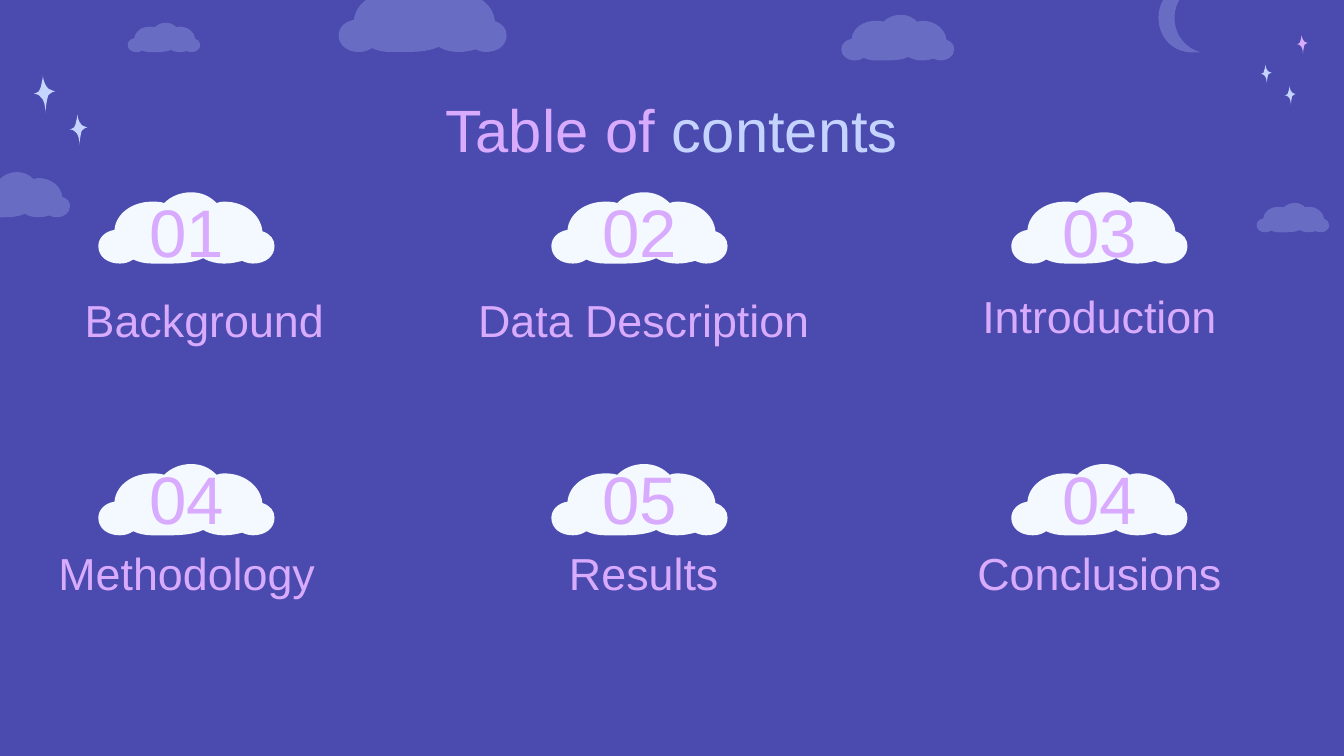
import dataclasses

import pptx
import pptx.dml.color
import pptx.enum.text
import pptx.oxml.ns
import pptx.util
from lxml import etree

Pt = pptx.util.Pt
qn = pptx.oxml.ns.qn
PP_ALIGN = pptx.enum.text.PP_ALIGN
MSO_ANCHOR = pptx.enum.text.MSO_ANCHOR


@dataclasses.dataclass(frozen=True)
class Theme:
    night: str = "4A4AAF"
    pale: str = "C5D3FF"
    lilac: str = "D9ABFE"
    cloud: str = "F4F9FF"
    font: str = "Arial"
    title: int = 32
    number: int = 36
    label: int = 24
    faint: int = 25


T = Theme()

# Outlines: a start point, then Bezier curves (control, control, end)
CLOUD = [
    (69, 0),
    (61, 0), (54, 3), (49, 8), (46, 7), (43, 7), (40, 7),
    (25, 7), (13, 16), (12, 28), (5, 29), (0, 34), (0, 40),
    (0, 48), (7, 53), (16, 53), (20, 53), (23, 52), (26, 50),
    (30, 52), (35, 53), (40, 53), (44, 53), (48, 53), (53, 53),
    (63, 53), (72, 52), (78, 49), (83, 52), (88, 53), (94, 53),
    (99, 53), (103, 52), (107, 51), (109, 52), (112, 53), (115, 53),
    (124, 53), (131, 48), (131, 40), (131, 35), (128, 31), (122, 29),
    (121, 17), (109, 7), (94, 7), (92, 7), (90, 7), (88, 8),
    (83, 3), (77, 0), (69, 0),
]
STAR = [
    (7, 0),
    (7, 3), (6, 5), (6, 6), (6, 8), (5, 10), (4, 12),
    (2, 13), (1, 14), (0, 14), (1, 14), (4, 14), (5, 16),
    (7, 17), (7, 19), (8, 21), (9, 25), (9, 28), (9, 28),
    (9, 27), (9, 24), (10, 19), (10, 17), (11, 16), (11, 15),
    (13, 13), (15, 12), (16, 12), (15, 12), (13, 11), (11, 10),
    (7, 6), (7, 0), (7, 0),
]
MOON = [
    (25, 0),
    (28, 0), (30, 0), (32, 0), (20, 3), (12, 13), (12, 25),
    (12, 38), (20, 48), (32, 51), (30, 51), (28, 51), (25, 51),
    (11, 51), (0, 40), (0, 25), (0, 11), (11, 0), (25, 0),
]

# Sky decoration: left, top, width
SKY_CLOUDS = [(68.4, 12.2, 38.9), (450.7, 7.9, 60.5), (-22.3, 92.2, 59.8),
              (673.2, 108.7, 38.9), (181.4, -8.6, 90)]
SKY_STARS = [(688.3, 46.1, 5.8), (675.4, 34.6, 5.8),
             (37.4, 61.2, 9.4), (18, 40.3, 11.5)]

# Contents: cloud top, number top, then (number, label, label left, label top)
COLUMNS = [52.7, 295.4, 541.8]
ROWS = [
    (103, 98.6, [("01", "Background", 0, 151.9),
                 ("02", "Data Description", 235.4, 151.9),
                 ("03", "Introduction", 479.5, 149.8)]),
    (248.6, 241.2, [("04", "Methodology", -9.4, 287.3),
                    ("05", "Results", 235.4, 287.3),
                    ("04", "Conclusions", 479.5, 287.3)]),
]


def rgb(color):
    return pptx.dml.color.RGBColor.from_string(color)


def add_command(geom, tag, points=()):
    command = etree.SubElement(geom, qn(tag))
    for x, y in points:
        etree.SubElement(command, qn("a:pt"), x=str(x), y=str(y))


def curve_outline(sp, outline):
    """Swap the straight frame of a freeform for Bezier curves."""
    geom = sp._element.find(".//" + qn("a:path"))
    for command in list(geom):
        geom.remove(command)
    add_command(geom, "a:moveTo", outline[:1])
    for i in range(1, len(outline), 3):
        add_command(geom, "a:cubicBezTo", outline[i:i + 3])
    add_command(geom, "a:close")


def add_outline(s, outline, left, top, width, color, alpha=None):
    w, h = (max(values) for values in zip(*outline))
    builder = s.shapes.build_freeform(0, 0, scale=Pt(width) / w)
    builder.add_line_segments([(w, 0), (w, h), (0, h)], close=True)
    sp = builder.convert_to_shape(Pt(left), Pt(top))
    curve_outline(sp, outline)
    sp.shadow.inherit = False
    sp.line.fill.background()
    sp.fill.solid()
    sp.fill.fore_color.rgb = rgb(color)
    if alpha is not None:
        clr = sp._element.spPr.find(qn("a:solidFill")).find(qn("a:srgbClr"))
        etree.SubElement(clr, qn("a:alpha"), val=str(alpha * 1000))


def set_text(sp, runs, size, anchor):
    tf = sp.text_frame
    tf.word_wrap = True
    tf.auto_size = pptx.enum.text.MSO_AUTO_SIZE.NONE
    tf.vertical_anchor = anchor
    tf.margin_left = tf.margin_right = tf.margin_top = tf.margin_bottom = Pt(7.2)
    p = tf.paragraphs[0]
    p.alignment = PP_ALIGN.CENTER
    for text, color in runs:
        r = p.add_run()
        r.text = text
        r.font.name = T.font
        r.font.size = Pt(size)
        r.font.color.rgb = rgb(color)


def add_title(s):
    sp = s.shapes.title
    sp.left, sp.top, sp.width, sp.height = Pt(56.9), Pt(42.5), Pt(606.2), Pt(45.4)
    set_text(sp, [("Table of ", T.lilac), ("contents", T.pale)], T.title, MSO_ANCHOR.TOP)


def add_label(s, text, left, top, width, height, size):
    sp = s.shapes.add_textbox(Pt(left), Pt(top), Pt(width), Pt(height))
    set_text(sp, [(text, T.lilac)], size, MSO_ANCHOR.BOTTOM)


def main():
    prs = pptx.Presentation()
    prs.slide_width, prs.slide_height = Pt(720), Pt(405)
    s = prs.slides.add_slide(prs.slide_layouts[5])
    s.background.fill.solid()
    s.background.fill.fore_color.rgb = rgb(T.night)

    # Night sky
    add_outline(s, MOON, 620.6, -8.6, 23, T.pale, T.faint)
    for box in SKY_CLOUDS:
        add_outline(s, CLOUD, *box, T.pale, T.faint)
    for box in SKY_STARS:
        add_outline(s, STAR, *box, T.pale)
    add_outline(s, STAR, 694.8, 18.7, 5.8, T.lilac)

    # Title and numbered sections
    add_title(s)
    for cloud_top, number_top, sections in ROWS:
        for left, (number, label, label_left, label_top) in zip(COLUMNS, sections):
            add_outline(s, CLOUD, left, cloud_top, 94.4, T.cloud)
            add_label(s, number, left + 12.1, number_top, 70.2, 54, T.number)
            add_label(s, label, label_left, label_top, 218.9, 41, T.label)

    prs.save("out.pptx")


if __name__ == "__main__":
    main()
